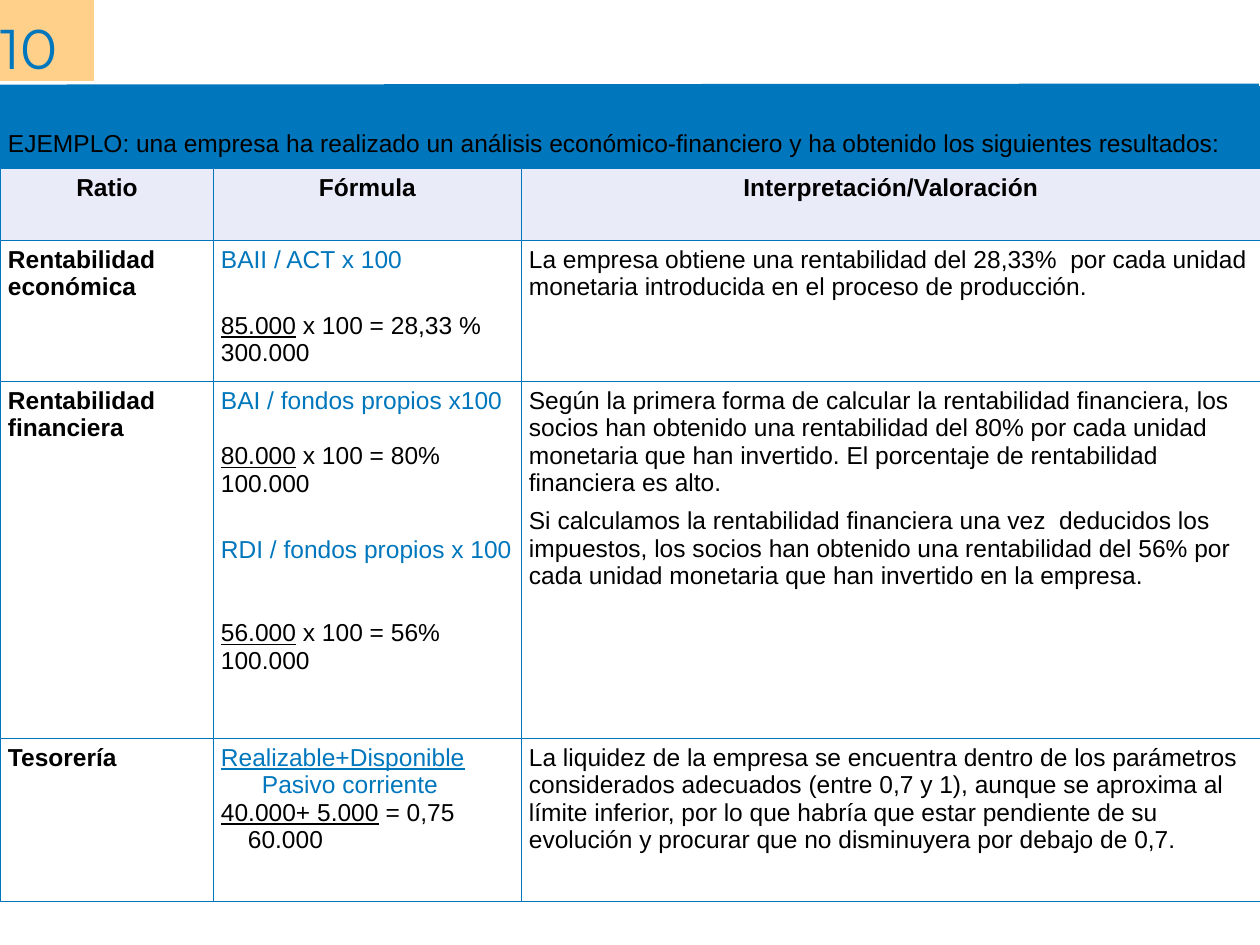
from lxml.etree import SubElement
from pptx import Presentation
from pptx.dml.color import RGBColor as Rgb
from pptx.enum.shapes import MSO_CONNECTOR as Connector, MSO_SHAPE as Shape
from pptx.enum.text import MSO_ANCHOR as Anchor, PP_ALIGN as Align
from pptx.oxml.ns import qn
from pptx.util import Pt

EMU_PER_PX = 914400 / 126
COLORS = {"blue": "0077BD", "orange": "FF9900", "lavender": "EAEBF9",
          "white": "FFFFFF", "black": "000000"}
COLUMNS = [213, 308, 739]
ROWS = [82, 72, 141, 357, 163]
MARGINS = {"margin_left": 8, "margin_top": 6, "margin_right": 7, "margin_bottom": 6}

BOLD = {"bold": True}
BLUE = {"color": "blue"}
UNDER = {"underline": True}


def px(length):
    return round(length * EMU_PER_PX)


def color(name):
    return Rgb.from_string(COLORS[name])


def line(*spans, before=0, indent=0, align=Align.LEFT):
    """One paragraph: (text, format) spans, space before in points, indent in px."""
    return {"spans": spans, "before": before, "indent": indent, "align": align}


def fraction(top, rest, bottom, before=0, indent=0):
    """Underlined numerator with its result, above the denominator."""
    return [line((top, UNDER), (rest, {}), before=before),
            line((bottom, {}), indent=indent)]


TITLE = "EJEMPLO: una empresa ha realizado un análisis económico-financiero y ha obtenido los siguientes resultados:"
HEADINGS = ["Ratio", "Fórmula", "Interpretación/Valoración"]
RATIOS = [
    ("Rentabilidad económica",
     [line(("BAII / ACT x 100", BLUE)),
      *fraction("85.000", " x 100 = 28,33 %", "300.000", before=22)],
     ["La empresa obtiene una rentabilidad del 28,33%  por cada unidad monetaria "
      "introducida en el proceso de producción."]),
    ("Rentabilidad financiera",
     [line(("BAI / fondos propios x100", BLUE)),
      *fraction("80.000", " x 100 = 80%", "100.000", before=16),
      line(("RDI / fondos propios x 100", BLUE), before=22),
      *fraction("56.000", " x 100 = 56%", "100.000", before=32)],
     ["Según la primera forma de calcular la rentabilidad financiera, los socios han "
      "obtenido una rentabilidad del 80% por cada unidad monetaria que han invertido. "
      "El porcentaje de rentabilidad financiera es alto.",
      "Si calculamos la rentabilidad financiera una vez  deducidos los impuestos, los "
      "socios han obtenido una rentabilidad del 56% por cada unidad monetaria que han "
      "invertido en la empresa."]),
    ("Tesorería",
     [line(("Realizable+Disponible", {**BLUE, **UNDER})),
      line(("Pasivo corriente", BLUE), indent=41),
      *fraction("40.000+ 5.000", " = 0,75", "60.000", indent=27)],
     ["La liquidez de la empresa se encuentra dentro de los parámetros considerados "
      "adecuados (entre 0,7 y 1), aunque se aproxima al límite inferior, por lo que "
      "habría que estar pendiente de su evolución y procurar que no disminuyera por "
      "debajo de 0,7."]),
]


def add_span(para, text, format_values):
    span = para.add_run()
    span.text = text
    values = {"name": "Arial", "size": Pt(14), "bold": False, **format_values}
    span.font.color.rgb = color(values.pop("color", "black"))
    for name, value in values.items():
        setattr(span.font, name, value)


def fill_cell(cell, lines, fill):
    for name, value in MARGINS.items():
        setattr(cell, name, px(value))
    cell.vertical_anchor = Anchor.TOP

    # Borders come before the fill in the cell properties
    properties = cell._tc.get_or_add_tcPr()
    for side in ("lnL", "lnR", "lnT", "lnB"):
        border = SubElement(properties, qn(f"a:{side}"), w=str(Pt(0.45)))
        solid = SubElement(border, qn("a:solidFill"))
        SubElement(solid, qn("a:srgbClr"), val=COLORS["blue"])
    cell.fill.solid()
    cell.fill.fore_color.rgb = color(fill)

    frame = cell.text_frame
    for index, content in enumerate(lines):
        para = frame.add_paragraph() if index else frame.paragraphs[0]
        para.alignment = content["align"]
        if content["before"]:
            para.space_before = Pt(content["before"])
        if content["indent"]:
            para._p.get_or_add_pPr().set("marL", str(px(content["indent"])))
        for text, format_values in content["spans"]:
            add_span(para, text, format_values)


def add_page_number(page, left, top, width, height):
    # Rule under the number
    rule = page.shapes.add_connector(Connector.STRAIGHT, px(left - 1), px(top + height + 6),
                                     px(left + 1259), px(top + height + 5))
    rule.line.color.rgb = color("blue")
    rule.line.width = Pt(2.75)
    SubElement(rule._element.spPr, qn("a:effectLst"))

    # Translucent tile
    box = page.shapes.add_shape(Shape.RECTANGLE, *map(px, (left, top, width, height)))
    box.shadow.inherit = False
    box.line.fill.background()
    box.fill.solid()
    box.fill.fore_color.rgb = color("orange")
    tint = box._element.spPr.find(f".//{qn('a:srgbClr')}")
    SubElement(tint, qn("a:alpha"), val="46000")

    # Number
    frame = box.text_frame
    frame.word_wrap = True
    frame.vertical_anchor = Anchor.TOP
    for name in MARGINS:
        setattr(frame, name, 0)
    para = frame.paragraphs[0]
    para.alignment = Align.LEFT
    para.line_spacing = 1.2
    add_span(para, "10", {"name": "Montserrat", "size": Pt(32), **BLUE})


def add_ratio_table(page, left, top, width, height):
    table = page.shapes.add_table(len(ROWS), len(COLUMNS),
                                  *map(px, (left, top, width, height))).table
    table.first_row = table.horz_banding = False
    for column, size in zip(table.columns, COLUMNS):
        column.width = px(size)
    for row, size in zip(table.rows, ROWS):
        row.height = px(size)

    # Title band across all columns
    for index in range(len(COLUMNS)):
        fill_cell(table.cell(0, index), [] if index else [line((TITLE, {}))], "blue")
    table.cell(0, 0).merge(table.cell(0, len(COLUMNS) - 1))
    table.cell(0, 0).margin_top = px(44)

    # Headings
    for index, heading in enumerate(HEADINGS):
        fill_cell(table.cell(1, index), [line((heading, BOLD), align=Align.CENTER)], "lavender")

    # One row for each ratio
    for row, (ratio, formula, remarks) in enumerate(RATIOS, 2):
        remark_lines = [line((text, {}), before=6 if index else 0)
                        for index, text in enumerate(remarks)]
        for column, lines in enumerate(([line((ratio, BOLD))], formula, remark_lines)):
            fill_cell(table.cell(row, column), lines, "white")


def main():
    deck = Presentation()
    deck.slide_width, deck.slide_height = px(1260), px(945)
    page = deck.slides.add_slide(deck.slide_layouts[6])
    add_page_number(page, 0, 0, 94, 81)
    add_ratio_table(page, 0, 86, sum(COLUMNS), sum(ROWS))
    deck.save("out.pptx")


if __name__ == "__main__":
    main()
